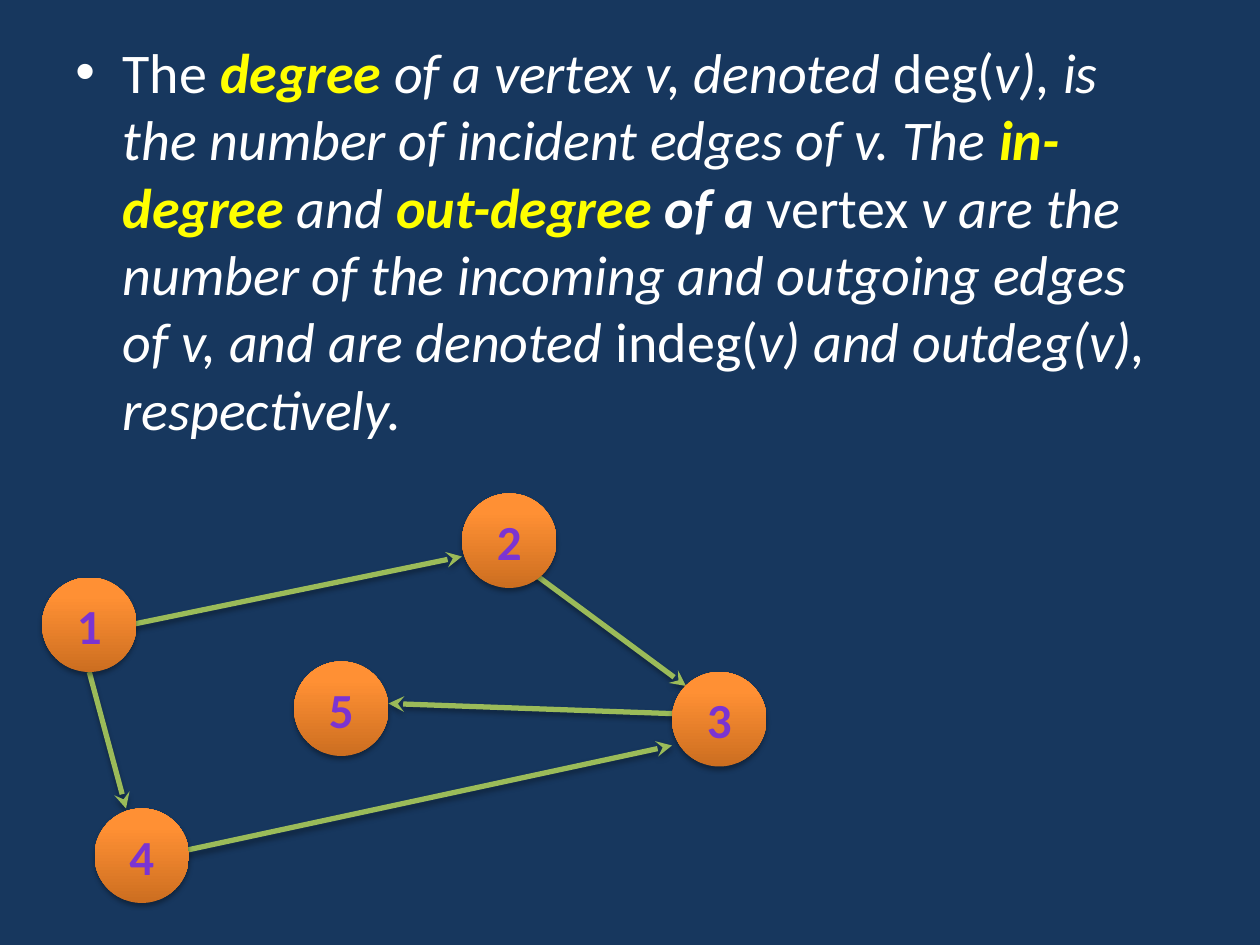
"""Builds a slide defining vertex degree with a small directed graph."""
from lxml.etree import SubElement
from pptx import Presentation
from pptx.dml.color import RGBColor
from pptx.enum.shapes import MSO_CONNECTOR, MSO_SHAPE
from pptx.enum.text import MSO_ANCHOR, MSO_AUTO_SIZE, PP_ALIGN
from pptx.oxml.ns import qn
from pptx.util import Pt

NAVY, WHITE, YELLOW, GREEN, PURPLE = "17375E", "FFFFFF", "FFFF00", "9BBB59", "7B34D2"
ORANGES = [(0, "CC6E20"), (80, "FF9034"), (100, "FF9136")]
PLAIN = {}
ITALIC = {"italic": True}
STRONG = {"italic": True, "bold": True}
KEY = {**STRONG, "color": YELLOW}

DEFINITION = [
    ("The ", PLAIN),
    ("degree ", KEY),
    ("of a vertex v, denoted ", ITALIC),
    ("deg(", PLAIN),
    ("v), is the number of incident edges of v. The ", ITALIC),
    ("in-degree ", KEY),
    ("and ", ITALIC),
    ("out-degree", KEY),
    (" of a ", STRONG),
    ("vertex ", PLAIN),
    ("v are the number of the incoming and outgoing edges of v, and are denoted ", ITALIC),
    ("indeg(", PLAIN),
    ("v) and outdeg(v), respectively.", ITALIC),
]
EDGES = [
    (60, 360, 264, 318),
    (78, 492, 384, 426),
    (390, 408, 222, 402),
    (51, 384, 72, 462),
    (300, 324, 392, 392),
]
VERTICES = [("1", 24, 330), ("5", 168, 378), ("4", 54, 462), ("3", 384, 384), ("2", 264, 282)]
DIAMETER = 54


def rgb(value):
    return RGBColor.from_string(value)


def add_run(p, text, size=32, color=WHITE, bold=False, italic=False):
    r = p.add_run()
    r.text = text
    r.font.name, r.font.size = "Calibri", Pt(size)
    r.font.bold, r.font.italic = bold, italic
    r.font.color.rgb = rgb(color)


def child(parent, tag, **attrs):
    return SubElement(parent, qn(tag), {k: str(v) for k, v in attrs.items()})


def add_shadow(spPr):
    effects = child(spPr, "a:effectLst")
    shadow = child(effects, "a:outerShdw", blurRad=Pt(3.1), dist=Pt(1.8),
                   dir=5400000, rotWithShape=0)
    child(child(shadow, "a:srgbClr", val="000000"), "a:alpha", val=35000)


def add_definition(s):
    tf = s.shapes.add_textbox(Pt(36), Pt(18), Pt(648), Pt(246)).text_frame
    tf.word_wrap = True
    tf.auto_size = MSO_AUTO_SIZE.TEXT_TO_FIT_SHAPE
    p = tf.paragraphs[0]
    p.space_before = Pt(6.4)
    pPr = p._p.get_or_add_pPr()
    pPr.set("marL", str(Pt(27)))
    pPr.set("indent", str(Pt(-27)))
    child(pPr, "a:buFont", typeface="Arial")
    child(pPr, "a:buChar", char="•")
    for text, style in DEFINITION:
        add_run(p, text, **style)


def add_edge(graph, ends):
    edge = graph.shapes.add_connector(MSO_CONNECTOR.STRAIGHT, *map(Pt, ends))
    edge.line.color.rgb = rgb(GREEN)
    edge.line.width = Pt(3)
    child(edge.line._get_or_add_ln(), "a:tailEnd", type="stealth")
    add_shadow(edge._element.spPr)


def add_vertex(graph, label, x, y):
    sp = graph.shapes.add_shape(MSO_SHAPE.OVAL, Pt(x), Pt(y), Pt(DIAMETER), Pt(DIAMETER))
    sp.fill.gradient()
    sp.fill.gradient_angle = 90
    stops = sp._element.spPr.find(qn("a:gradFill")).find(qn("a:gsLst"))
    stops[:] = []
    for pos, color in ORANGES:
        child(child(stops, "a:gs", pos=pos * 1000), "a:srgbClr", val=color)
    sp.line.fill.background()
    add_shadow(sp._element.spPr)
    tf = sp.text_frame
    tf.vertical_anchor = MSO_ANCHOR.MIDDLE
    p = tf.paragraphs[0]
    p.alignment = PP_ALIGN.CENTER
    add_run(p, label, size=28, color=PURPLE, bold=True)


prs = Presentation()
prs.slide_width, prs.slide_height = Pt(720), Pt(540)
s = prs.slides.add_slide(prs.slide_layouts[6])
s.background.fill.solid()
s.background.fill.fore_color.rgb = rgb(NAVY)
add_definition(s)
graph = s.shapes.add_group_shape()
for ends in EDGES:
    add_edge(graph, ends)
for vertex in VERTICES:
    add_vertex(graph, *vertex)
prs.save("out.pptx")
